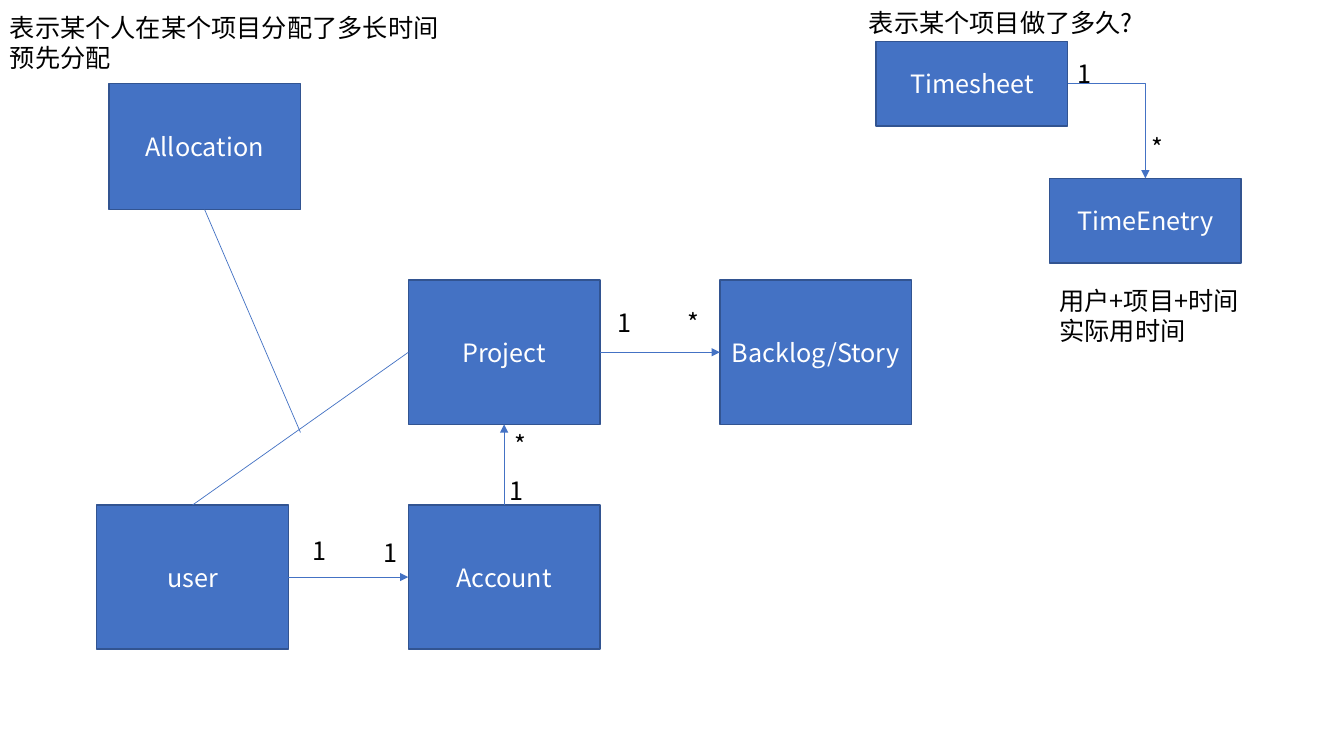
from dataclasses import dataclass

from lxml.etree import SubElement as Sub
from pptx import Presentation
from pptx.dml.color import RGBColor as Rgb
from pptx.enum.shapes import MSO_CONNECTOR as Link, MSO_SHAPE as Shape
from pptx.enum.text import MSO_ANCHOR as Anchor, MSO_AUTO_SIZE as Fit, PP_ALIGN as Align
from pptx.oxml.ns import qn
from pptx.util import Pt

PX = 9144  # 100 px to the inch
TOP, LEFT, BOTTOM, RIGHT = range(4)


@dataclass(frozen=True)
class Theme:
    fill: Rgb = Rgb(0x44, 0x72, 0xC4)
    edge: Rgb = Rgb(0x32, 0x54, 0x91)
    light: Rgb = Rgb(255, 255, 255)
    dark: Rgb = Rgb(0, 0, 0)
    font: str = "Noto Sans CJK SC"
    size: int = 18
    rim: float = 1
    wire: float = 0.5


THEME = Theme()


def emu(*vals):
    return [round(v * PX) for v in vals]


def put(obj, **vals):
    for key, val in vals.items():
        setattr(obj, key, val)


def write(frame, text, color, align=Align.LEFT):
    frame.text = text
    for para in frame.paragraphs:
        para.alignment = align
        for run in para.runs:
            put(run.font, name=THEME.font, size=Pt(THEME.size))
            run.font.color.rgb = color
            Sub(run.font._element, qn("a:ea"), typeface=THEME.font)


def block(slide, text, x, y, w, h):
    rect = slide.shapes.add_shape(Shape.RECTANGLE, *emu(x, y, w, h))
    rect.shadow.inherit = False
    rect.fill.solid()
    rect.fill.fore_color.rgb = THEME.fill
    rect.line.color.rgb = THEME.edge
    rect.line.width = Pt(THEME.rim)
    rect.text_frame.vertical_anchor = Anchor.MIDDLE
    write(rect.text_frame, text, THEME.light, Align.CENTER)
    return rect


def note(slide, text, x, y, w, h=40, wrap=False):
    frame = slide.shapes.add_textbox(*emu(x, y, w, h)).text_frame
    put(frame, word_wrap=wrap, auto_size=Fit.SHAPE_TO_FIT_TEXT)
    write(frame, text, THEME.dark)


def join(slide, start, end, arrow=True, kind=Link.STRAIGHT):
    """Link two ends, each a (shape, side) pair or an (x, y) point."""
    wire = slide.shapes.add_connector(kind, 0, 0, 0, 0)
    if isinstance(start[0], int):
        wire.begin_x, wire.begin_y = emu(*start)
    else:
        wire.begin_connect(*start)
    wire.end_connect(*end)
    wire.line.color.rgb = THEME.fill
    wire.line.width = Pt(THEME.wire)
    if arrow:
        Sub(wire.line._get_or_add_ln(), qn("a:tailEnd"), type="triangle")
    props = wire._element.spPr
    Sub(props, qn("a:effectLst"))
    if kind == Link.ELBOW:
        props.find(qn("a:prstGeom")).set("prst", "bentConnector2")


def marks(slide, x, y, items):
    for text, dx, dy, w in items:
        note(slide, text, x + dx, y + dy, w, wrap=text == "*")


def plan(slide, x, y):
    """Users, accounts, projects and their allocation."""
    wide, tall = 190, 143
    left, mid, right = x + 96, x + 405, x + 714
    upper, lower = y + 271, y + 494
    alloc = block(slide, "Allocation", x + 108, y + 76, wide, 125)
    user = block(slide, "user", left, lower, wide, tall)
    account = block(slide, "Account", mid, lower, wide, tall)
    project = block(slide, "Project", mid, upper, wide, tall)
    story = block(slide, "Backlog/Story", right, upper, wide, tall)

    join(slide, (project, RIGHT), (story, LEFT))
    join(slide, (user, RIGHT), (account, LEFT))
    join(slide, (account, TOP), (project, BOTTOM))
    join(slide, (user, TOP), (project, LEFT), arrow=False)
    join(slide, (x + 298, y + 422), (alloc, BOTTOM), arrow=False)

    marks(slide, x, y, [("1", 603, 293, 34), ("*", 672, 293, 52),
                        ("1", 300, 519, 34), ("1", 371, 521, 34),
                        ("1", 496, 460, 34), ("*", 500, 414, 52)])
    note(slide, "表示某个人在某个项目分配了多长时间\n预先分配", x, y, 449, 71)


def track(slide, x, y):
    """Time sheets and their entries."""
    wide, tall = 190, 84
    sheet = block(slide, "Timesheet", x + 17, y + 39, wide, tall)
    entry = block(slide, "TimeEnetry", x + 189, y + 175, wide, tall)
    join(slide, (sheet, RIGHT), (entry, TOP), kind=Link.ELBOW)
    marks(slide, x, y, [("1", 207, 51, 33), ("*", 280, 124, 52)])
    note(slide, "表示某个项目做了多久?", x, y, 284)
    note(slide, "用户+项目+时间\n实际用时间", x + 189, y + 276, 205, 71, wrap=True)


def main():
    deck = Presentation()
    deck.slide_width, deck.slide_height = emu(1333, 750)
    slide = deck.slides.add_slide(deck.slide_layouts[6])
    plan(slide, 0, 7)
    track(slide, 852, 2)
    deck.save("out.pptx")


if __name__ == "__main__":
    main()
